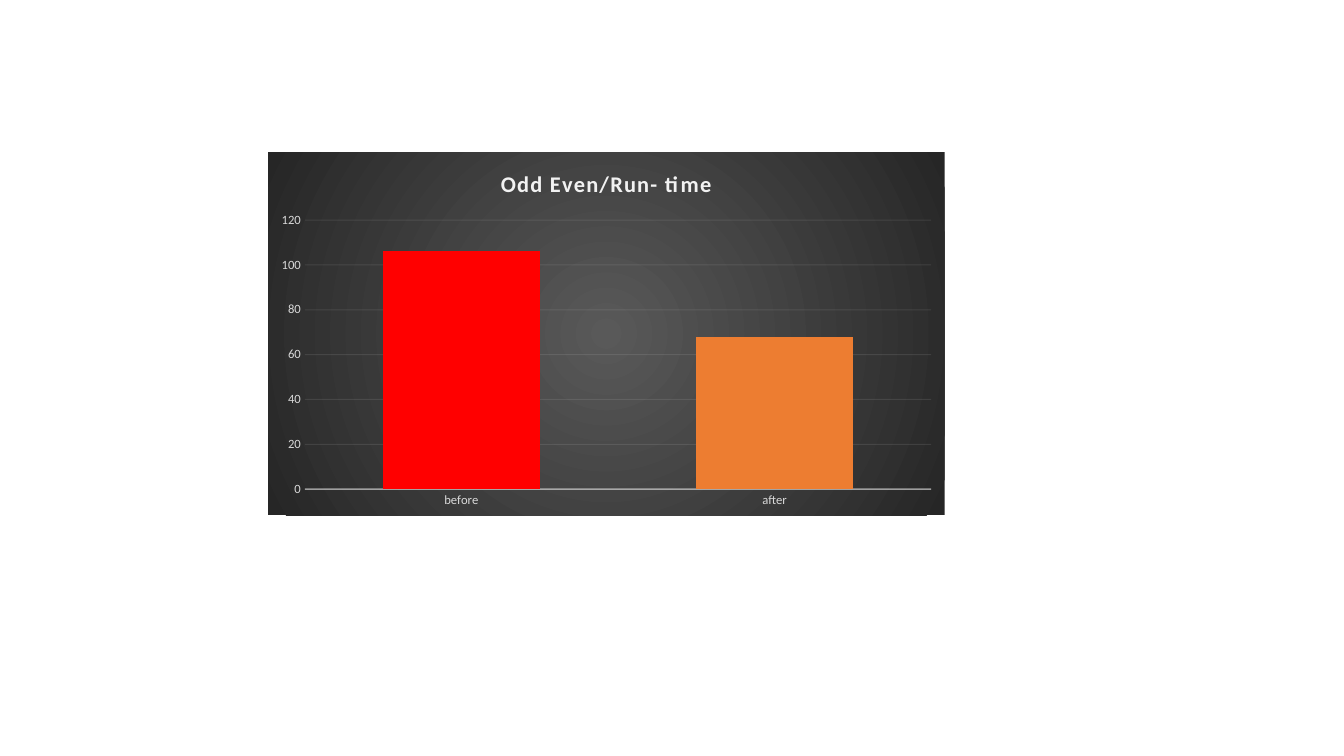
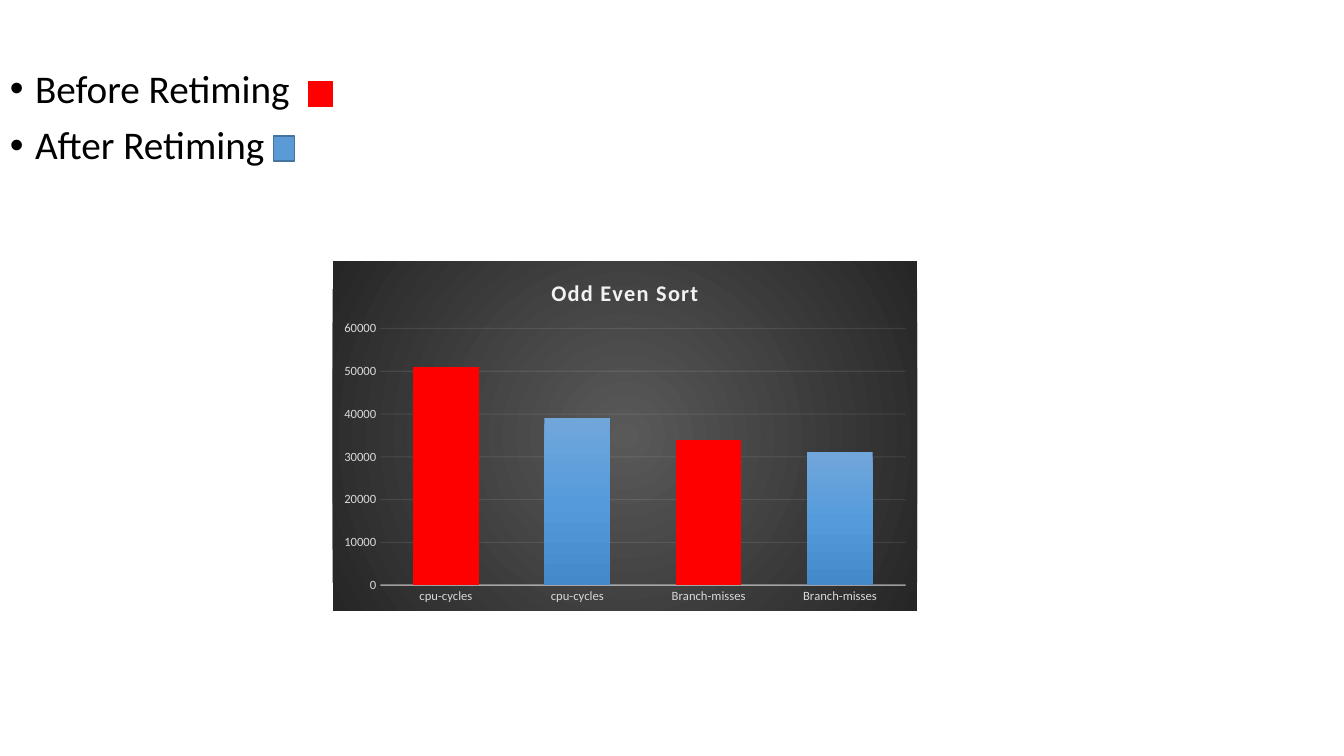
from dataclasses import dataclass, field

from lxml.etree import SubElement
from pptx import Presentation
from pptx.chart.chart import Chart
from pptx.chart.data import CategoryChartData
from pptx.dml.color import RGBColor
from pptx.enum.chart import XL_CHART_TYPE, XL_TICK_MARK
from pptx.enum.shapes import MSO_SHAPE
from pptx.oxml import parse_xml
from pptx.oxml.ns import nsdecls, qn
from pptx.slide import Slide
from pptx.util import Emu, Inches, Pt

WIDTH, HEIGHT = Inches(13.33), Inches(7.5)
FONT = "Calibri"
BLACK = RGBColor(0x00, 0x00, 0x00)
RED = RGBColor(0xFF, 0x00, 0x00)
ORANGE = RGBColor(0xED, 0x7D, 0x31)
BLUE = RGBColor(0x5B, 0x9B, 0xD5)
DARK_BLUE = RGBColor(0x43, 0x73, 0x9E)
PALE = RGBColor(0xF2, 0xF2, 0xF2)
LABEL_GREY = RGBColor(0xD9, 0xD9, 0xD9)
PANEL_STOPS = (RGBColor(0x59, 0x59, 0x59), RGBColor(0x26, 0x26, 0x26))
BLUE_STOPS = (RGBColor(0x71, 0xA6, 0xDB), RGBColor(0x55, 0x9B, 0xDB), RGBColor(0x44, 0x8A, 0xCA))
RADIAL = ('<a:path path="circle"><a:fillToRect l="50000" t="50000" '
          'r="50000" b="50000"/></a:path>')
DOWNWARD = '<a:lin ang="5400000" scaled="0"/>'


@dataclass(frozen=True)
class Area:
    """Place and size as percentages of the slide."""
    left: float
    top: float
    width: float
    height: float

    def lengths(self) -> tuple[Emu, Emu, Emu, Emu]:
        return (Emu(int(WIDTH * self.left / 100)), Emu(int(HEIGHT * self.top / 100)),
                Emu(int(WIDTH * self.width / 100)), Emu(int(HEIGHT * self.height / 100)))


@dataclass(frozen=True)
class Swatch:
    area: Area
    fill: RGBColor
    line: RGBColor


@dataclass(frozen=True)
class ColumnChart:
    title: str
    area: Area
    categories: tuple[str, ...]
    values: tuple[int, ...]
    series_stops: tuple[RGBColor, ...] = ()
    point_colors: dict[int, RGBColor] = field(default_factory=dict)


RUN_TIME = ColumnChart(
    "Odd Even/Run- time", Area(19.95, 20.13, 50.33, 48),
    ("before", "after"), (106, 68), point_colors={0: RED, 1: ORANGE})
SORT_COUNTERS = ColumnChart(
    "Odd Even Sort", Area(24.75, 34.53, 43.5, 46.27),
    ("cpu-cycles", "cpu-cycles", "Branch-misses", "Branch-misses"),
    (51000, 39000, 34000, 31000), BLUE_STOPS, {0: RED, 2: RED})
LEGEND_AREA = Area(0, 8.53, 67.5, 18.67)
LEGEND_LINES = ("Before Retiming", "After Retiming")
SWATCHES = (Swatch(Area(22.95, 10.8, 1.8, 3.33), RED, RED),
            Swatch(Area(20.33, 18, 1.58, 3.33), BLUE, DARK_BLUE))


def format_font(font, size: float, color: RGBColor, bold: bool = False) -> None:
    font.name, font.size, font.bold = FONT, Pt(size), bold
    font.color.rgb = color


def gradient(stops: tuple[RGBColor, ...], direction: str):
    step = 100000 // (len(stops) - 1)
    marks = "".join(f'<a:gs pos="{index * step}"><a:srgbClr val="{color}"/></a:gs>'
                    for index, color in enumerate(stops))
    return parse_xml(f'<a:gradFill {nsdecls("a")} rotWithShape="1">'
                     f'<a:gsLst>{marks}</a:gsLst>{direction}</a:gradFill>')


def format_line(chart: Chart, line, parent: str, width: float, opacity: int) -> None:
    line.width = Pt(width)
    line.color.rgb = PALE
    color = chart.element.xpath(f".//{parent}/c:spPr/a:ln//a:srgbClr")[0]
    SubElement(color, qn("a:alpha"), val=str(opacity * 1000))


def fill_panel(chart: Chart) -> None:
    panel = parse_xml(f'<c:spPr {nsdecls("c", "a")}><a:ln><a:noFill/></a:ln></c:spPr>')
    panel.insert(0, gradient(PANEL_STOPS, RADIAL))
    chart.element.find(qn("c:chart")).addnext(panel)


def format_axes(chart: Chart) -> None:
    for axis in (chart.category_axis, chart.value_axis):
        axis.major_tick_mark = axis.minor_tick_mark = XL_TICK_MARK.NONE
        format_font(axis.tick_labels.font, 9, LABEL_GREY)
    format_line(chart, chart.category_axis.format.line, "c:catAx", 1, 54)
    chart.value_axis.format.line.fill.background()
    chart.value_axis.has_major_gridlines = True
    format_line(chart, chart.value_axis.major_gridlines.format.line,
                "c:majorGridlines", 0.75, 10)


def color_columns(chart: Chart, spec: ColumnChart) -> None:
    plot = chart.plots[0]
    plot.vary_by_categories = False
    plot.gap_width, plot.overlap = 100, -24
    series = plot.series[0]
    series.invert_if_negative = False
    if spec.series_stops:
        series.format.fill.solid()
        solid = chart.element.xpath(".//c:ser/c:spPr/a:solidFill")[0]
        solid.getparent().replace(solid, gradient(spec.series_stops, DOWNWARD))
    for index, color in spec.point_colors.items():
        fill = series.points[index].format.fill
        fill.solid()
        fill.fore_color.rgb = color


def add_column_chart(page: Slide, spec: ColumnChart) -> None:
    data = CategoryChartData()
    data.categories = spec.categories
    data.add_series("Series 1", spec.values)
    chart = page.shapes.add_chart(
        XL_CHART_TYPE.COLUMN_CLUSTERED, *spec.area.lengths(), data).chart
    format_font(chart.font, 10, BLACK)
    chart.has_legend = False
    chart.has_title = True
    span = chart.chart_title.text_frame.paragraphs[0].add_run()
    span.text = spec.title
    format_font(span.font, 16, PALE, bold=True)
    span.font._element.set("spc", "100")
    fill_panel(chart)
    format_axes(chart)
    color_columns(chart, spec)


def add_text(page: Slide, lines: tuple[str, ...], area: Area, *, size: float,
             color: RGBColor, indent: float) -> None:
    frame = page.shapes.add_textbox(*area.lengths()).text_frame
    frame.word_wrap = True
    for index, line in enumerate(lines):
        para = frame.add_paragraph() if index else frame.paragraphs[0]
        para.line_spacing, para.space_before = 0.9, Pt(10)
        span = para.add_run()
        span.text = line
        format_font(span.font, size, color)
        properties = para._p.get_or_add_pPr()
        properties.set("marL", str(Inches(indent)))
        properties.set("indent", str(-Inches(indent)))
        SubElement(properties, qn("a:buFont"), typeface="Arial")
        SubElement(properties, qn("a:buChar"), char="•")


def add_swatch(page: Slide, swatch: Swatch) -> None:
    box = page.shapes.add_shape(MSO_SHAPE.RECTANGLE, *swatch.area.lengths())
    box.shadow.inherit = False
    box.fill.solid()
    box.fill.fore_color.rgb = swatch.fill
    box.line.color.rgb = swatch.line
    box.line.width = Pt(1)


def build() -> None:
    deck = Presentation()
    deck.slide_width, deck.slide_height = WIDTH, HEIGHT
    blank = deck.slide_layouts[6]

    add_column_chart(deck.slides.add_slide(blank), RUN_TIME)

    page = deck.slides.add_slide(blank)
    add_text(page, LEGEND_LINES, LEGEND_AREA, size=28, color=BLACK, indent=0.25)
    add_column_chart(page, SORT_COUNTERS)
    for swatch in SWATCHES:
        add_swatch(page, swatch)

    deck.save("out.pptx")


build()
